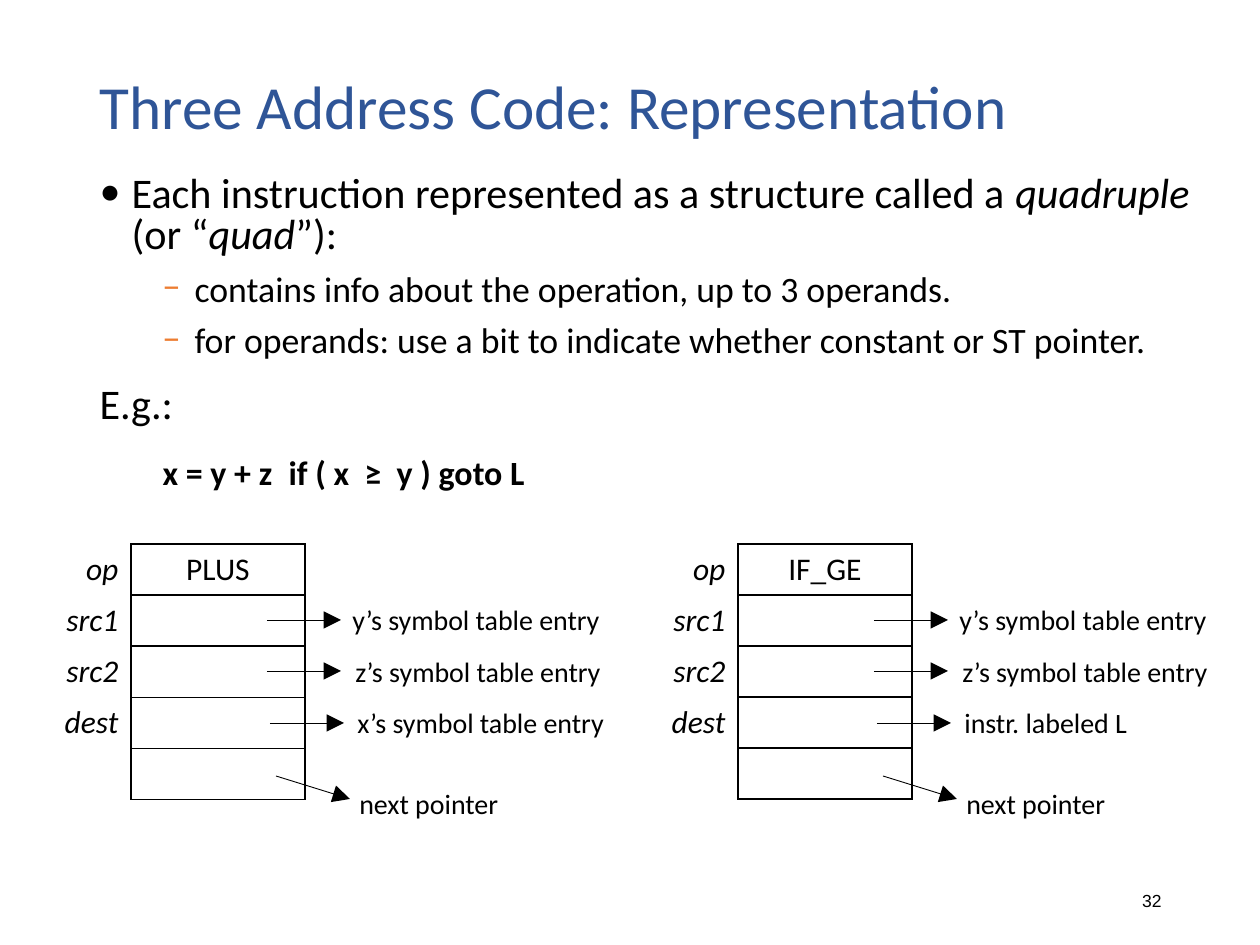
"""Build the slide on quadruples, the representation of three address code."""
from lxml.etree import SubElement
from pptx import Presentation
from pptx.dml.color import RGBColor
from pptx.enum.shapes import MSO_CONNECTOR as Connector
from pptx.enum.text import MSO_ANCHOR as Anchor, MSO_AUTO_SIZE as AutoSize, PP_ALIGN as Align
from pptx.oxml.ns import qn
from pptx.util import Pt

EMU_PER_PX = 914400 / 126
THEME = {
    "font": "Calibri", "number_font": "Arial",
    "title": "2F5597", "text": "000000", "dash": "ED7D31",
    "title_size": 35, "item_size": 24.1, "subitem_size": 20.4, "code_size": 19.4,
    "field_size": 18, "pointer_size": 16, "number_size": 10,
    "border": 1, "arrow": 0.5,
}

TITLE = "Three Address Code: Representation"
NUMBER = "32"
ITEMS = [
    ("item", [("Each instruction represented as a structure called a ", False),
              ("quadruple", True), (" (or “", False), ("quad", True), ("”):", False)]),
    ("subitem", [("contains info about the operation, up to 3 operands.", False)]),
    ("subitem", [("for operands: use a bit to indicate whether constant or ST pointer.", False)]),
    ("example", [("E.g.:", False)]),
    ("code", [("\tx = y + z\tif ( x  ≥  y ) goto L", False)]),
]
ITEM_STYLES = {
    "item": dict(level=0, margin=32, indent=-32, bullet="•", color="text", size="item_size", before=0),
    "subitem": dict(level=1, margin=95, indent=-32, bullet="−", color="dash", size="subitem_size", before=5),
    "example": dict(level=0, margin=32, indent=-32, bullet=None, size="item_size", before=10),
    "code": dict(level=0, margin=0, indent=0, bullet=None, size="code_size", before=13, tabs=(57, 582)),
}

FIELDS = ["op", "src1", "src2", "dest", ""]
QUADS = [
    ("PLUS", [("y’s symbol table entry", 276), ("z’s symbol table entry", 273),
              ("x’s symbol table entry", 275), ("next pointer", 166)]),
    ("IF_GE", [("y’s symbol table entry", 276), ("z’s symbol table entry", 273),
               ("instr. labeled L", 190), ("next pointer", 166)]),
]
POINTERS = [
    ((267, 620, 341, 620), (340, 596)),
    ((267, 671, 341, 671), (343, 648)),
    ((270, 723, 344, 723), (345, 699)),
    ((276, 776, 350, 799), (347, 780)),
]
QUAD_PITCH, QUAD_TOP, ROW_HEIGHT = 607, 544, 51
FIELD_LEFT, FIELD_WIDTH, BOX_WIDTH = 44, 87, 174
POINTER_HEIGHT = 46


def px(*lengths):
    return [round(length * EMU_PER_PX) for length in lengths]


def rgb(role):
    return RGBColor.from_string(THEME[role])


def set_font(paragraph, size, color="text", font="font", bold=False, italic=None):
    paragraph.font.name = THEME[font]
    paragraph.font.size = Pt(THEME[size])
    paragraph.font.color.rgb = rgb(color)
    paragraph.font.bold = bold
    paragraph.font.italic = italic


def place(shape, left, top, width, height):
    shape.left, shape.top, shape.width, shape.height = px(left, top, width, height)


def add_label(slide, text, box, size, font="font"):
    label = slide.shapes.add_textbox(*px(*box))
    label.text_frame.text = text
    set_font(label.text_frame.paragraphs[0], size, font=font)
    return label.text_frame


def add_item(paragraph, kind, runs):
    style = ITEM_STYLES[kind]
    paragraph.level = style["level"]
    paragraph.alignment = Align.LEFT
    paragraph.line_spacing = 0.8
    paragraph.space_before, paragraph.space_after = Pt(style["before"]), Pt(5)
    properties = paragraph._p.get_or_add_pPr()
    margin, indent = px(style["margin"], style["indent"])
    properties.set("marL", str(margin))
    properties.set("indent", str(indent))
    if style["bullet"]:
        bullet_color = SubElement(properties, qn("a:buClr"))
        SubElement(bullet_color, qn("a:srgbClr"), val=THEME[style["color"]])
        SubElement(properties, qn("a:buFont"), typeface=THEME["font"])
        SubElement(properties, qn("a:buChar"), char=style["bullet"])
    else:
        SubElement(properties, qn("a:buNone"))
    if "tabs" in style:
        tabs = SubElement(properties, qn("a:tabLst"))
        for stop in px(*style["tabs"]):
            SubElement(tabs, qn("a:tab"), pos=str(stop), algn="l")
    set_font(paragraph, style["size"], bold=kind == "code")
    for text, italic in runs:
        run = paragraph.add_run()
        run.text = text
        if italic:
            run.font.italic = True


def set_borders(cell, visible):
    properties = cell._tc.get_or_add_tcPr()
    for side in ("lnL", "lnR", "lnT", "lnB"):
        line = SubElement(properties, qn(f"a:{side}"), w=str(Pt(THEME["border"])))
        if visible:
            fill = SubElement(line, qn("a:solidFill"))
            SubElement(fill, qn("a:srgbClr"), val=THEME["text"])
        else:
            SubElement(line, qn("a:noFill"))


def add_column(slide, left, width, texts, align, bordered, italic):
    box = px(left, QUAD_TOP, width, ROW_HEIGHT * len(texts))
    table = slide.shapes.add_table(len(texts), 1, *box).table
    table.first_row = table.horz_banding = False
    for row, text in enumerate(texts):
        cell = table.cell(row, 0)
        cell.text = text
        set_borders(cell, bordered)
        cell.fill.background()
        paragraph = cell.text_frame.paragraphs[0]
        paragraph.alignment = align
        set_font(paragraph, "field_size", italic=italic)


def add_arrow(slide, ends):
    arrow = slide.shapes.add_connector(Connector.STRAIGHT, *px(*ends))
    arrow.line.color.rgb = rgb("text")
    arrow.line.width = Pt(THEME["arrow"])
    SubElement(arrow.line._get_or_add_ln(), qn("a:tailEnd"), type="triangle", w="lg", len="lg")
    SubElement(arrow._element.spPr, qn("a:effectLst"))


def add_quad(slide, offset, operation, targets):
    contents = [operation] + [""] * (len(FIELDS) - 1)
    add_column(slide, offset + FIELD_LEFT + FIELD_WIDTH, BOX_WIDTH, contents, Align.CENTER, True, False)
    add_column(slide, offset + FIELD_LEFT, FIELD_WIDTH, FIELDS, Align.RIGHT, False, True)
    for (target, width), ((x1, y1, x2, y2), (left, top)) in zip(targets, POINTERS):
        add_arrow(slide, (offset + x1, y1, offset + x2, y2))
        frame = add_label(slide, target, (offset + left, top, width, POINTER_HEIGHT), "pointer_size")
        frame.word_wrap = False
        frame.auto_size = AutoSize.SHAPE_TO_FIT_TEXT


def main():
    deck = Presentation()
    deck.slide_width, deck.slide_height = px(1260, 945)
    slide = deck.slides.add_slide(deck.slide_layouts[1])
    title, body = slide.placeholders

    place(title, 87, 50, 1134, 120)
    title.text_frame.text = TITLE
    title.text_frame.vertical_anchor = Anchor.MIDDLE
    heading = title.text_frame.paragraphs[0]
    heading.alignment = Align.LEFT
    heading.line_spacing = 0.9
    set_font(heading, "title_size", "title")

    place(body, 87, 170, 1134, 353)
    body.text_frame.auto_size = title.text_frame.auto_size = AutoSize.NONE
    for index, (kind, runs) in enumerate(ITEMS):
        frame = body.text_frame
        add_item(frame.add_paragraph() if index else frame.paragraphs[0], kind, runs)

    for index, (operation, targets) in enumerate(QUADS):
        add_quad(slide, index * QUAD_PITCH, operation, targets)

    number = add_label(slide, NUMBER, (890, 876, 284, 50), "number_size", "number_font")
    number.word_wrap = True
    number.vertical_anchor = Anchor.MIDDLE
    number.paragraphs[0].alignment = Align.RIGHT
    deck.save("out.pptx")


if __name__ == "__main__":
    main()
